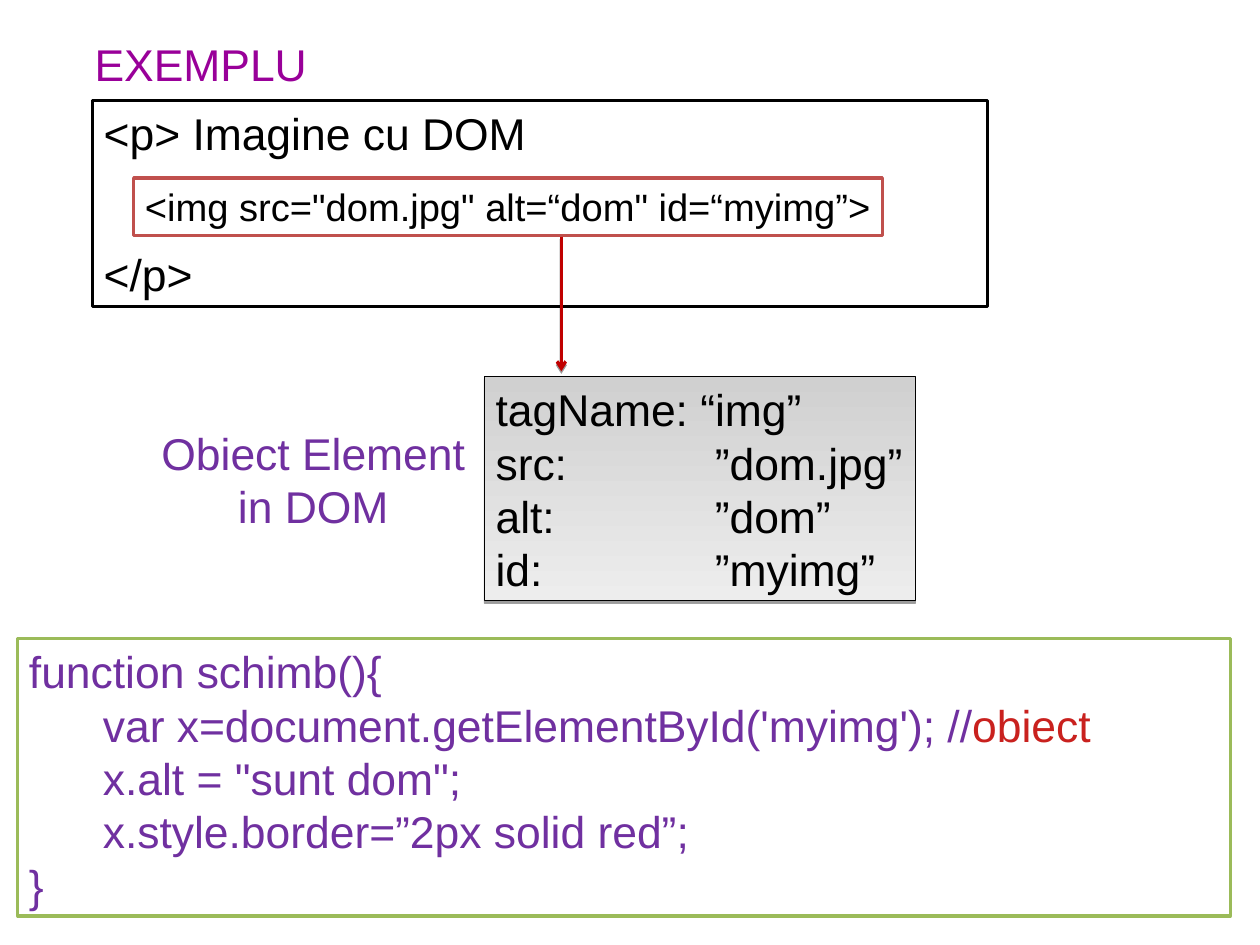
from pptx import Presentation
from pptx.dml.color import RGBColor
from pptx.enum.shapes import MSO_CONNECTOR, MSO_SHAPE
from pptx.enum.text import MSO_ANCHOR, PP_ALIGN
from pptx.oxml.ns import qn
from pptx.util import Cm, Pt
from lxml.etree import SubElement

WIDTH, HEIGHT = Cm(28), Cm(21)
BLACK, WHITE, PURPLE, RED = "000000", "FFFFFF", "7030A0", "C00000"


def color(value):
    """Turn a hex string into a colour."""
    return RGBColor.from_string(value)


def across(share):
    """Give a percentage of the slide width."""
    return round(WIDTH * share / 100)


def down(share):
    """Give a percentage of the slide height."""
    return round(HEIGHT * share / 100)


def frame(x, y, w, h):
    """Turn shares of the slide into left, top, width and height."""
    return across(x), down(y), across(w), down(h)


def add_shadow(effects):
    """Put a thin shadow below an element."""
    shadow = SubElement(effects, qn("a:outerShdw"), blurRad="0",
                        dist=str(Pt(1.6)), dir="5400000", rotWithShape="0")
    black = SubElement(shadow, qn("a:srgbClr"), val=BLACK)
    SubElement(black, qn("a:alpha"), val="38000")


def add_lines(sp, lines, ink, size=28, align=PP_ALIGN.LEFT, gap=0, tab=None):
    """Write lines, each a string or a list of (text, colour) runs."""
    tf = sp.text_frame
    tf.word_wrap = True
    tf.vertical_anchor = MSO_ANCHOR.TOP
    tf.margin_right = 0
    for i, line in enumerate(lines):
        p = tf.add_paragraph() if i else tf.paragraphs[0]
        p.alignment = align
        p.line_spacing = Pt(size * 1.2)
        p.space_before = Pt(gap if i else 0)
        if tab:
            tabs = SubElement(p._p.get_or_add_pPr(), qn("a:tabLst"))
            SubElement(tabs, qn("a:tab"), pos=str(across(tab)), algn="l")
        for text, shade in [(line, ink)] if isinstance(line, str) else line:
            r = p.add_run()
            r.text = text
            r.font.name = "Arial"
            r.font.size = Pt(size)
            r.font.color.rgb = color(shade)


def add_label(s, area, lines, ink, **style):
    """Add a text box without outline."""
    add_lines(s.shapes.add_textbox(*frame(*area)), lines, ink, **style)


def add_box(s, area, edge, lines, ink=BLACK, weight=2, **style):
    """Add a white outlined rectangle with text."""
    sp = s.shapes.add_shape(MSO_SHAPE.RECTANGLE, *frame(*area))
    sp.shadow.inherit = False
    sp.fill.solid()
    sp.fill.fore_color.rgb = color(WHITE)
    sp.line.color.rgb = color(edge)
    sp.line.width = Pt(weight)
    add_lines(sp, lines, ink, **style)
    return sp


def shade_box(sp, top, bottom):
    """Give a box a vertical gradient and a shadow."""
    sp.fill.gradient()
    sp.fill.gradient_angle = 270
    for stop, position, shade in zip(sp.fill.gradient_stops, (0, 1), (top, bottom)):
        stop.position = position
        stop.color.rgb = color(shade)
    add_shadow(sp._element.spPr.find(qn("a:effectLst")))


def add_down_arrow(s, x, start, end):
    """Add a vertical red arrow with a shadow."""
    arrow = s.shapes.add_connector(MSO_CONNECTOR.STRAIGHT, across(x), down(start),
                                   across(x), down(end))
    arrow.line.color.rgb = color(RED)
    arrow.line.width = Pt(2)
    SubElement(arrow.line._get_or_add_ln(), qn("a:tailEnd"), type="arrow")
    add_shadow(SubElement(arrow._element.spPr, qn("a:effectLst")))


def main():
    """Build the slide and save it."""
    prs = Presentation()
    prs.slide_width, prs.slide_height = WIDTH, HEIGHT
    s = prs.slides.add_slide(prs.slide_layouts[6])

    add_label(s, (6.62, 3.32, 18.6, 6.41), ["EXEMPLU"], "990099")
    add_box(s, (7.34, 10.64, 71.03, 21.77), BLACK,
            ["<p> Imagine cu DOM", "</p>"], gap=55.2)
    add_box(s, (10.61, 18.84, 59.42, 6.05), "C0504D",
            ['<img src="dom.jpg" alt=“dom" id=“myimg”>'], size=24)

    element = add_box(s, (38.44, 39.86, 34.21, 23.7), BLACK,
                      ["tagName: “img”", "src:\t”dom.jpg”", "alt:\t”dom”",
                       "id:\t”myimg”"], weight=0.75, tab=17.4)
    shade_box(element, "D0D0D0", "EDEDED")
    add_label(s, (10.98, 44.5, 26.86, 16.08), ["Obiect Element", "in DOM"],
              PURPLE, align=PP_ALIGN.CENTER)
    add_down_arrow(s, 44.55, 25.03, 39.3)

    add_box(s, (1.41, 67.59, 96.25, 29.35), "9BBB59", [
        "function schimb(){",
        [("      var x=document.getElementById('myimg'); //", PURPLE),
         ("obiect", "C9211E")],
        '      x.alt = "sunt dom";',
        "      x.style.border=”2px solid red”;",
        "}"], PURPLE)
    prs.save("out.pptx")


if __name__ == "__main__":
    main()
